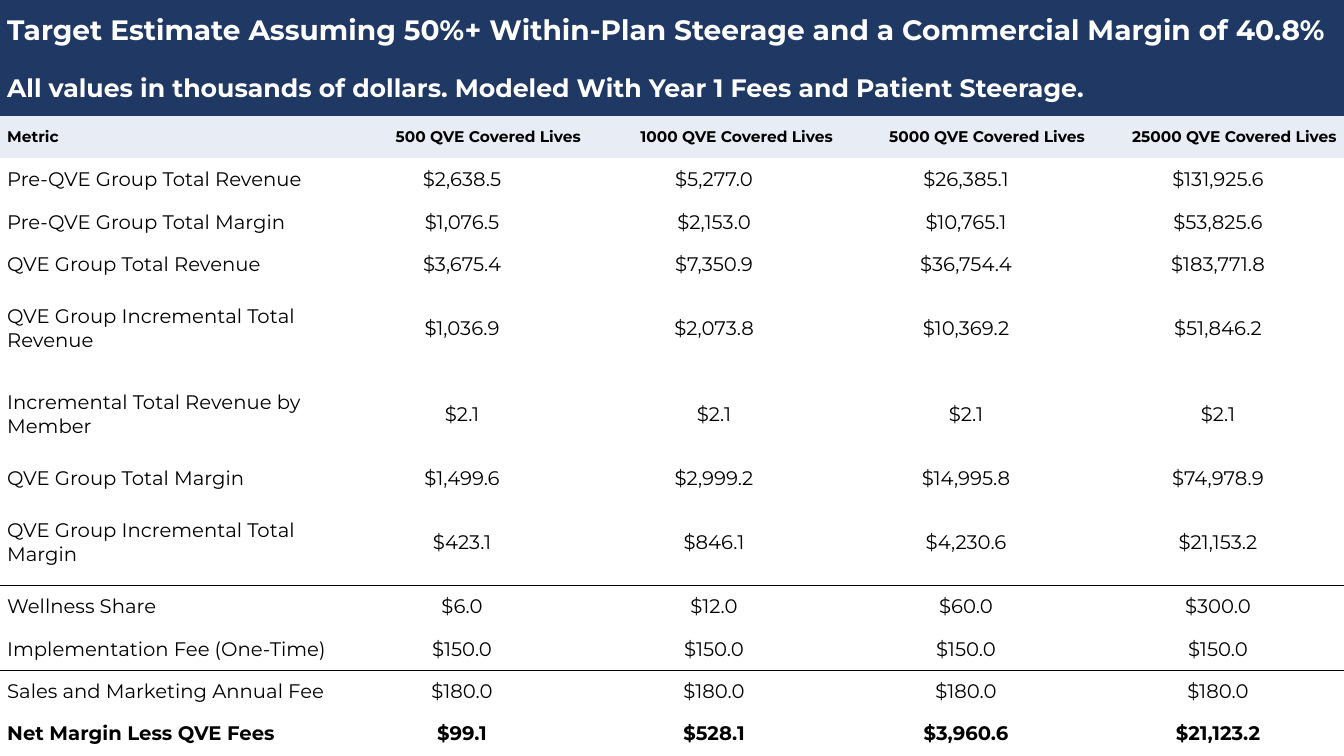
from dataclasses import dataclass

from lxml import etree
from pptx import Presentation
from pptx.dml.color import RGBColor
from pptx.enum.text import MSO_ANCHOR, PP_ALIGN
from pptx.oxml.ns import qn
from pptx.table import Table, _Cell
from pptx.util import Cm, Pt

LEFT, CENTER, RIGHT = PP_ALIGN.LEFT, PP_ALIGN.CENTER, PP_ALIGN.RIGHT
MIDDLE = MSO_ANCHOR.MIDDLE
NO_STYLE_NO_GRID = "{2D5ABB26-0587-4C30-8999-92F81FD0307C}"


@dataclass(frozen=True)
class Theme:
    font: str = "Montserrat"
    navy: str = "203864"
    pale: str = "E7ECF5"
    white: str = "FFFFFF"
    black: str = "000000"
    title_size: int = 20
    subtitle_size: int = 18
    header_size: int = 11
    body_size: int = 14


THEME = Theme()
SLIDE_WIDTH, SLIDE_HEIGHT = Cm(33.87), Cm(19.05)
COLUMN_WIDTHS = [Cm(8.47)] + [Cm(6.35)] * 4
SINGLE, DOUBLE = Cm(1.07), Cm(2.16)
TEXT_INDENT = Cm(0.18)
RULE_WIDTH = Pt(1)


@dataclass(frozen=True)
class Row:
    texts: tuple[str, ...]
    height: Cm = SINGLE
    size: int = THEME.body_size
    color: str = THEME.black
    fill: str | None = None
    bold: bool = False
    value_align: PP_ALIGN = CENTER
    rule_below: bool = False


ROWS = [
    Row(("Target Estimate Assuming 50%+ Within-Plan Steerage and a Commercial Margin of 40.8%",),
        Cm(1.53), THEME.title_size, THEME.white, THEME.navy, bold=True),
    Row(("All values in thousands of dollars. Modeled With Year 1 Fees and Patient Steerage.",),
        Cm(1.39), THEME.subtitle_size, THEME.white, THEME.navy, bold=True),
    Row(("Metric", "500 QVE Covered Lives", "1000 QVE Covered Lives",
         "5000 QVE Covered Lives", "25000 QVE Covered Lives"),
        size=THEME.header_size, fill=THEME.pale, bold=True, value_align=RIGHT),
    Row(("Pre-QVE Group Total Revenue", "$2,638.5", "$5,277.0", "$26,385.1", "$131,925.6")),
    Row(("Pre-QVE Group Total Margin", "$1,076.5", "$2,153.0", "$10,765.1", "$53,825.6")),
    Row(("QVE Group Total Revenue", "$3,675.4", "$7,350.9", "$36,754.4", "$183,771.8")),
    Row(("QVE Group Incremental Total Revenue", "$1,036.9", "$2,073.8", "$10,369.2", "$51,846.2"),
        DOUBLE),
    Row(("Incremental Total Revenue by Member", "$2.1", "$2.1", "$2.1", "$2.1"), DOUBLE),
    Row(("QVE Group Total Margin", "$1,499.6", "$2,999.2", "$14,995.8", "$74,978.9")),
    Row(("QVE Group Incremental Total Margin", "$423.1", "$846.1", "$4,230.6", "$21,153.2"),
        DOUBLE, rule_below=True),
    Row(("Wellness Share", "$6.0", "$12.0", "$60.0", "$300.0")),
    Row(("Implementation Fee (One-Time)", "$150.0", "$150.0", "$150.0", "$150.0"),
        rule_below=True),
    Row(("Sales and Marketing Annual Fee", "$180.0", "$180.0", "$180.0", "$180.0")),
    Row(("Net Margin Less QVE Fees", "$99.1", "$528.1", "$3,960.6", "$21,123.2"), bold=True),
]


def set_borders(cell: _Cell, rule_above: bool, rule_below: bool) -> None:
    properties = cell._tc.get_or_add_tcPr()
    sides = {"a:lnL": False, "a:lnR": False, "a:lnT": rule_above, "a:lnB": rule_below}
    for side, visible in sides.items():
        width = int(RULE_WIDTH) if visible else 0
        line = etree.SubElement(properties, qn(side), w=str(width))
        if visible:
            fill = etree.SubElement(line, qn("a:solidFill"))
            etree.SubElement(fill, qn("a:srgbClr"), val=THEME.black)
        else:
            etree.SubElement(line, qn("a:noFill"))


def fill_cell(cell: _Cell, text: str, row: Row, align: PP_ALIGN) -> None:
    cell.vertical_anchor = MIDDLE
    cell.margin_left = cell.margin_right = cell.margin_top = cell.margin_bottom = 0
    if row.fill:
        cell.fill.solid()
        cell.fill.fore_color.rgb = RGBColor.from_string(row.fill)
    else:
        cell.fill.background()
    para = cell.text_frame.paragraphs[0]
    para.alignment = align
    properties = para._p.get_or_add_pPr()
    for margin in ("marL", "marR"):
        properties.set(margin, str(int(TEXT_INDENT)))
    span = para.add_run()
    span.text = text
    span.font.name = THEME.font
    span.font.size = Pt(row.size)
    span.font.bold = row.bold
    span.font.color.rgb = RGBColor.from_string(row.color)


def fill_row(table: Table, index: int, row: Row) -> None:
    table.rows[index].height = row.height
    last_column = len(COLUMN_WIDTHS) - 1
    if len(row.texts) == 1:
        table.cell(index, 0).merge(table.cell(index, last_column))
    rule_above = index > 0 and ROWS[index - 1].rule_below
    for column, text in enumerate(row.texts):
        cell = table.cell(index, column)
        set_borders(cell, rule_above, row.rule_below)
        fill_cell(cell, text, row, row.value_align if column else LEFT)


def main() -> None:
    deck = Presentation()
    deck.slide_width, deck.slide_height = SLIDE_WIDTH, SLIDE_HEIGHT
    page = deck.slides.add_slide(deck.slide_layouts[6])
    table = page.shapes.add_table(
        len(ROWS), len(COLUMN_WIDTHS), 0, 0, sum(COLUMN_WIDTHS), sum(row.height for row in ROWS)
    ).table
    table.first_row = table.horz_banding = False
    table._tbl.tblPr.find(qn("a:tableStyleId")).text = NO_STYLE_NO_GRID
    for column, width in zip(table.columns, COLUMN_WIDTHS):
        column.width = width
    for index, row in enumerate(ROWS):
        fill_row(table, index, row)
    deck.save("out.pptx")


if __name__ == "__main__":
    main()
